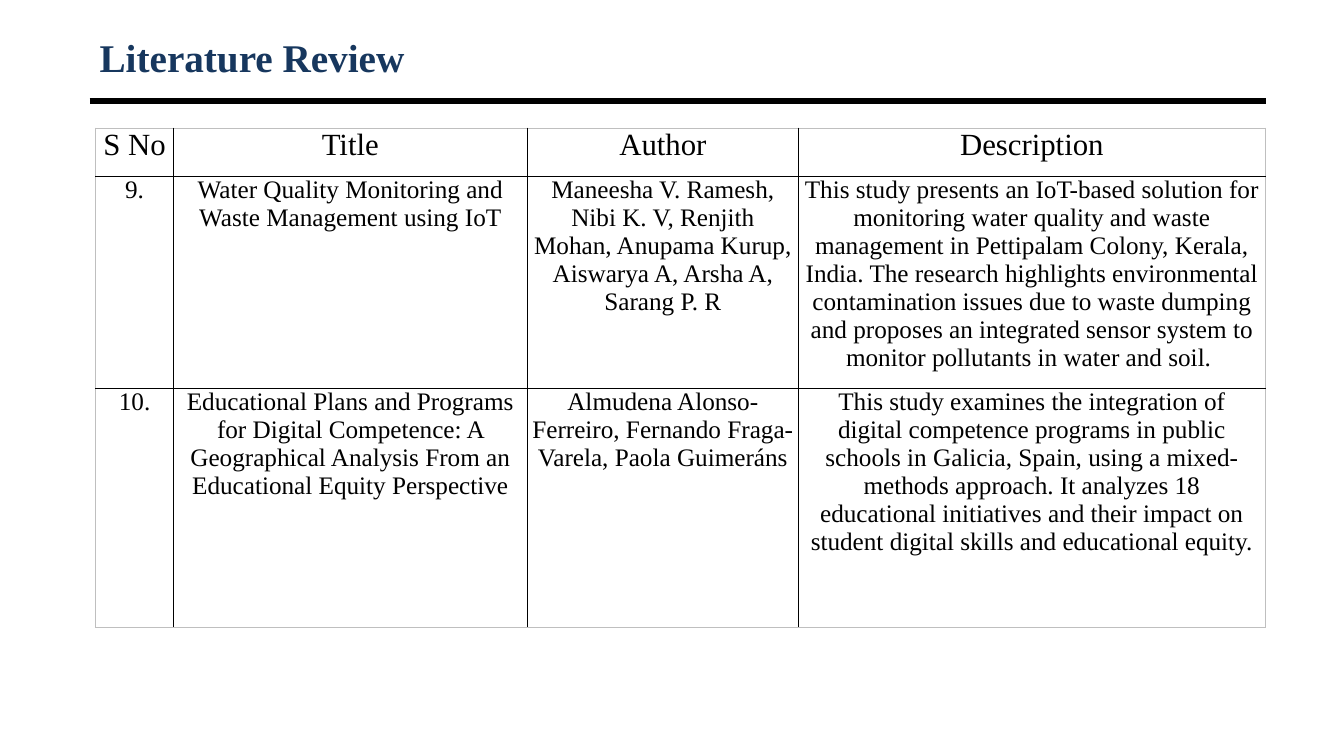
from lxml import etree
from pptx import Presentation
from pptx import util as u
from pptx.dml.color import RGBColor
from pptx.enum import shapes, text
from pptx.oxml.ns import qn

THEME = {
    "font": "Times New Roman",
    "navy": "17375E", "black": "000000", "edge": "BFBFBF",
    "title": 28, "header": 22, "body": 18,
    "rule": 4.5, "inner": 1, "outer": 0.5,
}
LEFT, RIGHT = 0.89, 12.56
COLUMNS = [0.77, 3.51, 2.69, 4.63]
ROWS = [0.48, 1.94, 2.37]
REVIEW = [
    ["S No", "Title", "Author", "Description"],
    ["9.",
     "Water Quality Monitoring and Waste Management using IoT",
     "Maneesha V. Ramesh, Nibi K. V, Renjith Mohan, Anupama Kurup, "
     "Aiswarya A, Arsha A, Sarang P. R",
     "This study presents an IoT-based solution for monitoring water quality "
     "and waste management in Pettipalam Colony, Kerala, India. The research "
     "highlights environmental contamination issues due to waste dumping and "
     "proposes an integrated sensor system to monitor pollutants in water and soil. "],
    ["10.",
     "Educational Plans and Programs for Digital Competence: A Geographical "
     "Analysis From an Educational Equity Perspective",
     "Almudena Alonso-Ferreiro, Fernando Fraga-Varela, Paola Guimeráns",
     "This study examines the integration of digital competence programs in "
     "public schools in Galicia, Spain, using a mixed-methods approach. It "
     "analyzes 18 educational initiatives and their impact on student digital "
     "skills and educational equity."],
]


def write(frame, words, size, color="black", bold=False, align=text.PP_ALIGN.CENTER):
    frame.word_wrap = True
    paragraph = frame.paragraphs[0]
    paragraph.alignment = align
    run = paragraph.add_run()
    run.text = words
    run.font.name = THEME["font"]
    run.font.size = u.Pt(THEME[size])
    run.font.bold = bold
    run.font.color.rgb = RGBColor.from_string(THEME[color])


def add_border(cell, side, outer):
    width, color = ("outer", "edge") if outer else ("inner", "black")
    border = etree.SubElement(cell._tc.get_or_add_tcPr(), qn(f"a:ln{side}"),
                              w=str(u.Pt(THEME[width])))
    fill = etree.SubElement(border, qn("a:solidFill"))
    etree.SubElement(fill, qn("a:srgbClr"), val=THEME[color])


prs = Presentation()
prs.slide_width, prs.slide_height = u.Inches(13.33), u.Inches(7.5)
slide = prs.slides.add_slide(prs.slide_layouts[6])

rule = slide.shapes.add_connector(
    shapes.MSO_CONNECTOR.STRAIGHT,
    u.Inches(LEFT), u.Inches(1), u.Inches(RIGHT), u.Inches(1))
rule.line.width = u.Pt(THEME["rule"])
rule.line.color.rgb = RGBColor.from_string(THEME["black"])
etree.SubElement(rule._element.spPr, qn("a:effectLst"))

heading = slide.shapes.add_textbox(
    u.Inches(LEFT), u.Inches(0.3), u.Inches(RIGHT - LEFT), u.Inches(0.53)).text_frame
heading.vertical_anchor = text.MSO_ANCHOR.MIDDLE
write(heading, "Literature Review", "title", color="navy", bold=True,
      align=text.PP_ALIGN.LEFT)

review = slide.shapes.add_table(
    len(ROWS), len(COLUMNS), u.Inches(0.95), u.Inches(1.27),
    u.Inches(sum(COLUMNS)), u.Inches(sum(ROWS))).table
review.horz_banding = False
for column, width in zip(review.columns, COLUMNS):
    column.width = u.Inches(width)
for row, height in zip(review.rows, ROWS):
    row.height = u.Inches(height)

for r, entry in enumerate(REVIEW):
    for c, words in enumerate(entry):
        cell = review.cell(r, c)
        cell.margin_left = cell.margin_right = u.Inches(0.05)
        cell.margin_top = cell.margin_bottom = 0
        write(cell.text_frame, words, "body" if r else "header")
        add_border(cell, "L", c == 0)
        add_border(cell, "R", c == len(COLUMNS) - 1)
        add_border(cell, "T", r == 0)
        add_border(cell, "B", r == len(ROWS) - 1)
        cell.fill.background()

prs.save("out.pptx")
